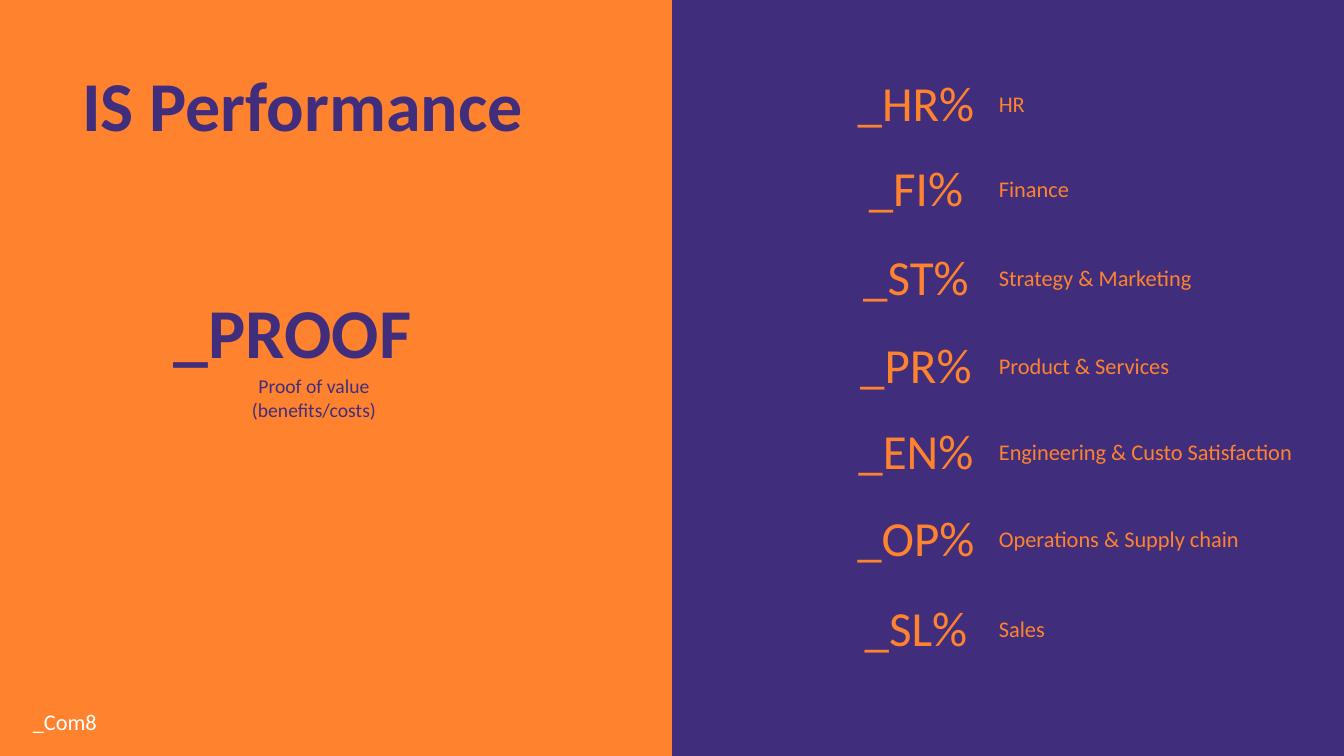
import dataclasses

import pptx
import pptx.dml.color
import pptx.enum.shapes
import pptx.enum.text
import pptx.util

PX = 12700 * 72 / 100.8  # EMU in one px
SLIDE_W, SLIDE_H = 1344, 756
HALF = SLIDE_W // 2

LEFT = pptx.enum.text.PP_ALIGN.LEFT
CENTER = pptx.enum.text.PP_ALIGN.CENTER


@dataclasses.dataclass(frozen=True)
class Theme:
    orange: str = "FF822F"
    purple: str = "402E7D"
    white: str = "FFFFFF"
    font: str = "Calibri"
    headline: int = 50
    figure: int = 35
    label: int = 16
    caption: int = 14


THEME = Theme()

# Value, department, top of the value box, width of the label box
DEPARTMENTS = [
    ("_HR%", "HR", 68, 204),
    ("_FI%", "Finance", 153, 204),
    ("_ST%", "Strategy & Marketing", 242, 254),
    ("_PR%", "Product & Services", 330, 232),
    ("_EN%", "Engineering & Custo Satisfaction", 416, 341),
    ("_OP%", "Operations & Supply chain", 503, 341),
    ("_SL%", "Sales", 593, 341),
]
VALUE_X, VALUE_W, VALUE_H = 835, 162, 70
LABEL_X, LABEL_H = 989, 37
LABEL_DROP = 17  # from the value's top to the label's top


def px(n):
    return pptx.util.Emu(round(n * PX))


def rgb(color):
    return pptx.dml.color.RGBColor.from_string(color)


def set_attrs(obj, values):
    for name, value in values.items():
        setattr(obj, name, value)


def place(sp, x, y, w, h):
    set_attrs(sp, {"left": px(x), "top": px(y), "width": px(w), "height": px(h)})


def write(sp, text, size, color, bold=False, align=LEFT):
    tf = sp.text_frame
    set_attrs(tf, {
        "word_wrap": True,
        "auto_size": pptx.enum.text.MSO_AUTO_SIZE.SHAPE_TO_FIT_TEXT,
        "vertical_anchor": pptx.enum.text.MSO_ANCHOR.TOP,
    })
    p = tf.paragraphs[0]
    p.alignment = align
    r = p.add_run()
    r.text = text
    set_attrs(r.font, {"name": THEME.font, "size": pptx.util.Pt(size), "bold": bold})
    r.font.color.rgb = rgb(color)


def add_panel(shapes, x, color):
    sp = shapes.add_shape(pptx.enum.shapes.MSO_SHAPE.RECTANGLE,
                          px(x), 0, px(HALF), px(SLIDE_H))
    sp.shadow.inherit = False
    sp.fill.solid()
    sp.fill.fore_color.rgb = rgb(color)
    sp.line.fill.background()
    return sp


def add_text(shapes, box, text, size, color, **style):
    sp = shapes.add_textbox(*map(px, box))
    write(sp, text, size, color, **style)
    return sp


def add_department(shapes, value, label, top, label_w):
    add_text(shapes, (LABEL_X, top + LABEL_DROP, label_w, LABEL_H), label,
             THEME.label, THEME.orange)
    add_text(shapes, (VALUE_X, top, VALUE_W, VALUE_H), value,
             THEME.figure, THEME.orange, align=CENTER)


def add_proof(shapes):
    group = shapes.add_group_shape().shapes
    figure = add_text(group, (165, 284, 298, 179), "_PROOF",
                      THEME.headline, THEME.purple, bold=True, align=CENTER)
    # Uneven insets hold the figure left of the caption's centre
    set_attrs(figure.text_frame, {"margin_left": 0, "margin_right": px(43)})
    add_text(group, (231, 369, 166, 57), "Proof of value (benefits/costs)",
             THEME.caption, THEME.purple, align=CENTER)


def main():
    prs = pptx.Presentation()
    set_attrs(prs, {"slide_width": px(SLIDE_W), "slide_height": px(SLIDE_H)})
    s = prs.slides.add_slide(prs.slide_layouts[5])

    # Two halves, with the title raised above them
    add_panel(s.shapes, HALF, THEME.purple)
    left_panel = add_panel(s.shapes, 0, THEME.orange)
    title = s.shapes.title
    left_panel.element.addnext(title.element)
    place(title, 72, 56, 574, 95)
    write(title, "IS Performance", THEME.headline, THEME.purple, bold=True)

    # Left half: proof of value and footer
    add_proof(s.shapes)
    add_text(s.shapes, (23, 703, 1155, 37), "_Com8", THEME.label, THEME.white)

    # Right half: one row per department
    for department in DEPARTMENTS:
        add_department(s.shapes, *department)

    prs.save("out.pptx")


if __name__ == "__main__":
    main()
